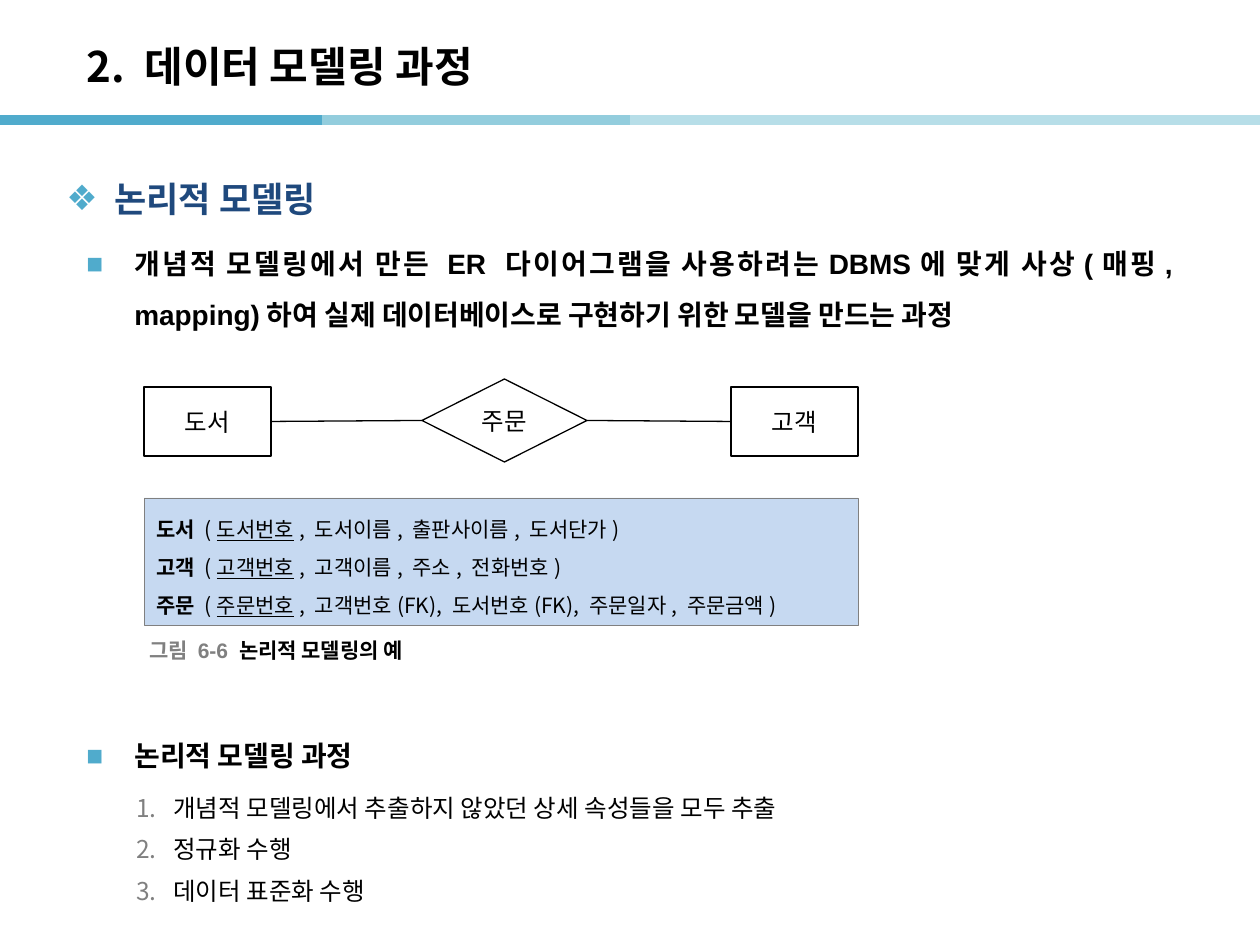
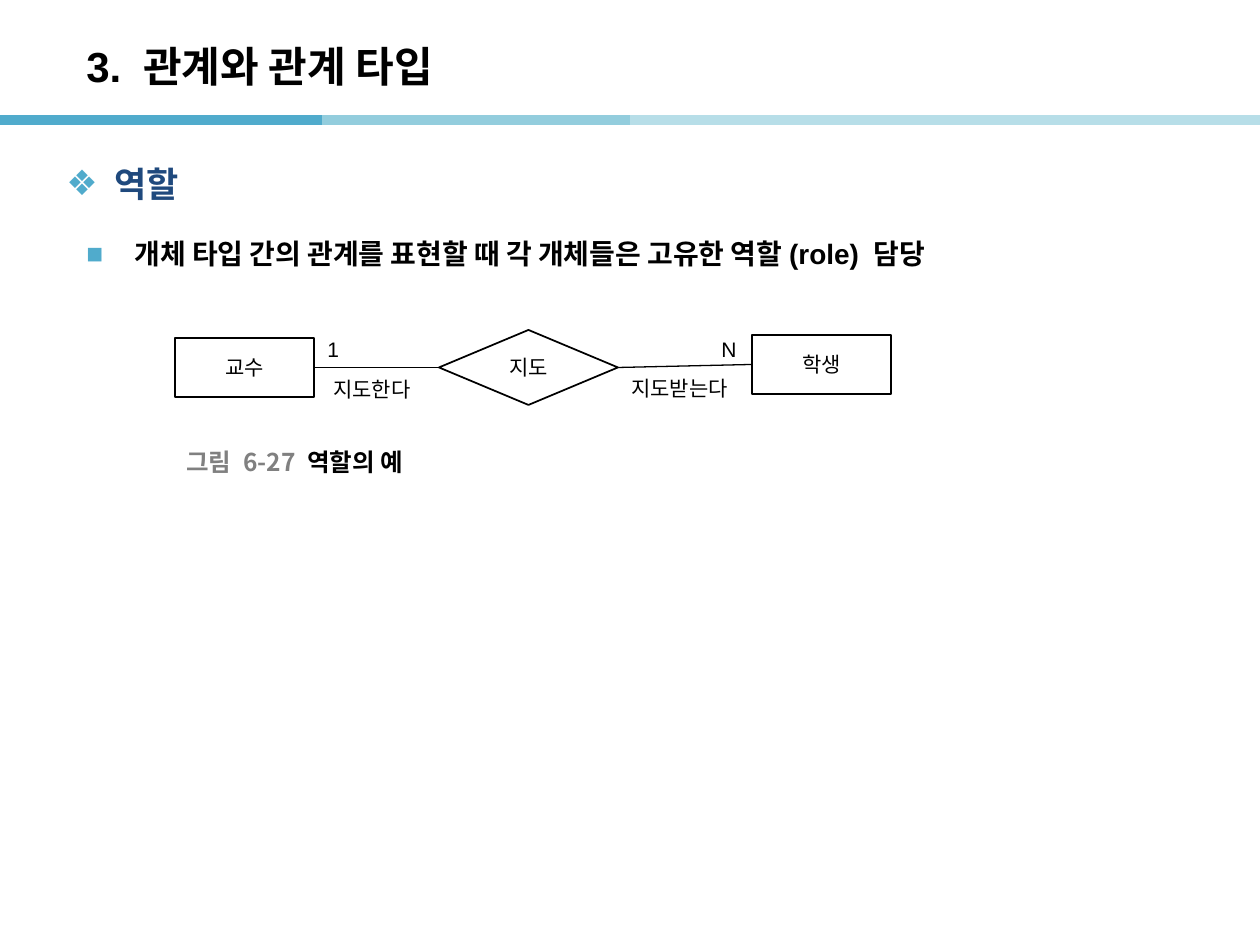
from lxml import etree
from pptx import Presentation
from pptx import util as u
from pptx.dml.color import RGBColor
from pptx.enum import shapes, text
from pptx.oxml.ns import qn

PX = u.Inches(1) / 126
BLACK = RGBColor(0x00, 0x00, 0x00)
WHITE = RGBColor(0xFF, 0xFF, 0xFF)
GRAY = RGBColor(0x80, 0x80, 0x80)
NAVY = RGBColor(0x1F, 0x49, 0x7D)
TEAL = RGBColor(0x50, 0xAB, 0xCC)
LIGHT_TEAL = RGBColor(0x93, 0xCD, 0xDD)
PALE_TEAL = RGBColor(0xB7, 0xDE, 0xE8)
PALE_BLUE = RGBColor(0xC6, 0xD9, 0xF1)
ARIAL = "Arial"
NOTO = "Noto Sans CJK KR"
BANDS = [(0, 322, TEAL), (322, 630, LIGHT_TEAL), (630, 1260, PALE_TEAL)]
SQUARE = ("buChar", {"char": "■"})
DIAMONDS = ("buChar", {"char": "❖"})
NUMBER = ("buAutoNum", {"type": "arabicPeriod"})


def emu(*lengths):
    """Turn px lengths into EMU."""
    return [round(length * PX) for length in lengths]


def inside(box, part):
    """Shift a part's box by the corner of the box that holds it."""
    return box[0] + part[0], box[1] + part[1], part[2], part[3]


def add_run(paragraph, words, size, font=NOTO, color=BLACK, bold=False, underline=False):
    """Add one run of text with its font."""
    run = paragraph.add_run()
    run.text = words
    run.font.size = u.Pt(size)
    run.font.name = font
    run.font.bold = bold
    run.font.underline = underline
    run.font.color.rgb = color
    east_asian = etree.Element(qn("a:ea"), typeface=NOTO)
    run.font._element.find(qn("a:latin")).addnext(east_asian)


def add_bullet(paragraph, bullet, color, indent, hang):
    """Give a paragraph a coloured bullet or number with a hanging indent."""
    tag, attributes = bullet
    properties = paragraph._p.get_or_add_pPr()
    left, back = emu(indent, -hang)
    properties.set("marL", str(left))
    properties.set("indent", str(back))
    holder = etree.SubElement(properties, qn("a:buClr"))
    etree.SubElement(holder, qn("a:srgbClr"), val=str(color))
    font = NOTO if bullet is NUMBER else ARIAL
    etree.SubElement(properties, qn("a:buFont"), typeface=font)
    etree.SubElement(properties, qn("a:" + tag), attributes)


def add_text(slide, box, anchor=text.MSO_ANCHOR.TOP, wrap=True):
    """Add an empty text box and return its frame."""
    frame = slide.shapes.add_textbox(*emu(*box)).text_frame
    frame.word_wrap = wrap
    frame.vertical_anchor = anchor
    return frame


def add_line(slide, start, end, color, width):
    """Draw a plain straight line."""
    line = slide.shapes.add_connector(shapes.MSO_CONNECTOR.STRAIGHT, *emu(*start, *end))
    line.line.color.rgb = color
    line.line.width = u.Pt(width)
    etree.SubElement(line._element.spPr, qn("a:effectLst"))
    return line


def add_block(slide, kind, box, fill, color, width):
    """Draw a filled, outlined shape."""
    block = slide.shapes.add_shape(kind, *emu(*box))
    block.shadow.inherit = False
    block.fill.solid()
    block.fill.fore_color.rgb = fill
    block.line.color.rgb = color
    block.line.width = u.Pt(width)
    return block


def start_slide(deck, title, font):
    """Add a slide with its title and the coloured band."""
    slide = deck.slides.add_slide(deck.slide_layouts[6])
    for left, right, color in BANDS:
        add_line(slide, (left, 120), (right, 120), color, 6)
    frame = add_text(slide, (74, 28, 1042, 76), text.MSO_ANCHOR.MIDDLE)
    add_run(frame.paragraphs[0], title, 24, font, bold=True)
    return slide


def add_point(paragraph, words, bullet, size, color):
    """Fill a paragraph with a bold bulleted point."""
    paragraph.line_spacing = 1.5
    add_bullet(paragraph, bullet, TEAL, 48, 48)
    add_run(paragraph, words, size, ARIAL, color, bold=True)


def heading(slide, box, words):
    """Place the section heading."""
    add_point(add_text(slide, box).paragraphs[0], words, DIAMONDS, 20, NAVY)


def statement(slide, box, words, steps=(), align=text.PP_ALIGN.JUSTIFY):
    """Place a bulleted statement and the numbered steps below it."""
    frame = add_text(slide, box)
    frame.paragraphs[0].alignment = align
    add_point(frame.paragraphs[0], words, SQUARE, 16, BLACK)
    for index, step in enumerate(steps):
        paragraph = frame.add_paragraph()
        paragraph.alignment = align
        paragraph.space_before = u.Pt(2.8 if index else 11.8)
        paragraph.space_after = u.Pt(4)
        add_bullet(paragraph, NUMBER, GRAY, 87, 37)
        add_run(paragraph, step, 14)


def er_diagram(slide, box, relation_kind, parts, size, width):
    """Draw two entities joined through the relation between them."""
    rectangle = shapes.MSO_SHAPE.RECTANGLE
    nodes = []
    for kind, (name, part) in zip((rectangle, relation_kind, rectangle), parts):
        node = add_block(slide, kind, inside(box, part), WHITE, BLACK, width)
        frame = node.text_frame
        frame.word_wrap = False
        frame.vertical_anchor = text.MSO_ANCHOR.MIDDLE
        frame.paragraphs[0].alignment = text.PP_ALIGN.CENTER
        add_run(frame.paragraphs[0], name, size)
        nodes.append(node)
    for before, after in zip(nodes, nodes[1:]):
        link = add_line(slide, (0, 0), (0, 0), BLACK, 0.75)
        link.begin_connect(before, 3)
        link.end_connect(after, 1)


def role_labels(slide, box, labels):
    """Write cardinalities and roles along the links of a diagram."""
    for words, part in labels:
        frame = add_text(slide, inside(box, part), wrap=False)
        add_run(frame.paragraphs[0], words, 12, ARIAL)


def schema(slide, box, relations):
    """List each relation with its key underlined."""
    frame = add_block(slide, shapes.MSO_SHAPE.RECTANGLE, box, PALE_BLUE, GRAY, 0.25).text_frame
    frame.word_wrap = True
    frame.vertical_anchor = text.MSO_ANCHOR.TOP
    for index, (name, key, others) in enumerate(relations):
        paragraph = frame.add_paragraph() if index else frame.paragraphs[0]
        paragraph.alignment = text.PP_ALIGN.LEFT
        paragraph.line_spacing = 1.5
        add_run(paragraph, name + " ", 12, bold=True)
        add_run(paragraph, "(", 12)
        add_run(paragraph, key, 12, underline=True)
        add_run(paragraph, f", {others})", 12)


def caption(slide, box, number, words, size, font):
    """Place a figure caption."""
    paragraph = add_text(slide, box, text.MSO_ANCHOR.MIDDLE, wrap=False).paragraphs[0]
    add_run(paragraph, f"그림 {number} ", size, font, GRAY, bold=True)
    add_run(paragraph, words, size, font, bold=True)


def logical_modeling(deck):
    """Build the slide on logical modelling."""
    slide = start_slide(deck, "2. 데이터 모델링 과정", NOTO)
    statement(slide, (74, 224, 1111, 120),
              "개념적 모델링에서 만든 ER 다이어그램을 사용하려는DBMS에 맞게 사상(매핑, mapping)하여 "
              "실제 데이터베이스로 구현하기 위한 모델을 만드는 과정")
    statement(slide, (74, 716, 1111, 202), "논리적 모델링 과정",
              ["개념적 모델링에서 추출하지 않았던 상세 속성들을 모두 추출",
               "정규화 수행", "데이터 표준화 수행"])
    schema(slide, (144, 498, 714, 127), [
        ("도서", "도서번호", "도서이름, 출판사이름, 도서단가"),
        ("고객", "고객번호", "고객이름, 주소, 전화번호"),
        ("주문", "주문번호", "고객번호(FK), 도서번호(FK), 주문일자, 주문금액")])
    er_diagram(slide, (144, 379, 714, 83), shapes.MSO_SHAPE.DIAMOND, [
        ("도서", (0, 8, 127, 69)),
        ("주문", (278, 0, 165, 83)),
        ("고객", (587, 8, 127, 69))], 14, 0.75)
    caption(slide, (137, 621, 285, 59), "6-6", "논리적 모델링의 예", 12, ARIAL)
    heading(slide, (54, 150, 1111, 74), "논리적 모델링")


def roles(deck):
    """Build the slide on roles in a relationship."""
    slide = start_slide(deck, "3. 관계와 관계 타입", ARIAL)
    statement(slide, (74, 214, 1111, 70),
              "개체 타입 간의 관계를 표현할 때 각 개체들은 고유한 역할(role) 담당",
              align=text.PP_ALIGN.LEFT)
    diagram = (175, 330, 716, 75)
    er_diagram(slide, diagram, shapes.MSO_SHAPE.FLOWCHART_DECISION, [
        ("교수", (0, 8, 139, 59)),
        ("지도", (264, 0, 179, 75)),
        ("학생", (577, 5, 139, 59))], 12, 1)
    role_labels(slide, diagram, [
        ("1", (140, 0, 37, 38)),
        ("N", (534, 0, 42, 38)),
        ("지도한다", (146, 40, 111, 38)),
        ("지도받는다", (444, 39, 131, 38))])
    caption(slide, (174, 442, 258, 39), "6-27", "역할의 예", 14, NOTO)
    heading(slide, (54, 135, 1111, 67), "역할")


def main():
    """Build and save the deck."""
    deck = Presentation()
    deck.slide_width, deck.slide_height = emu(1260, 945)
    logical_modeling(deck)
    roles(deck)
    deck.save("out.pptx")


if __name__ == "__main__":
    main()
